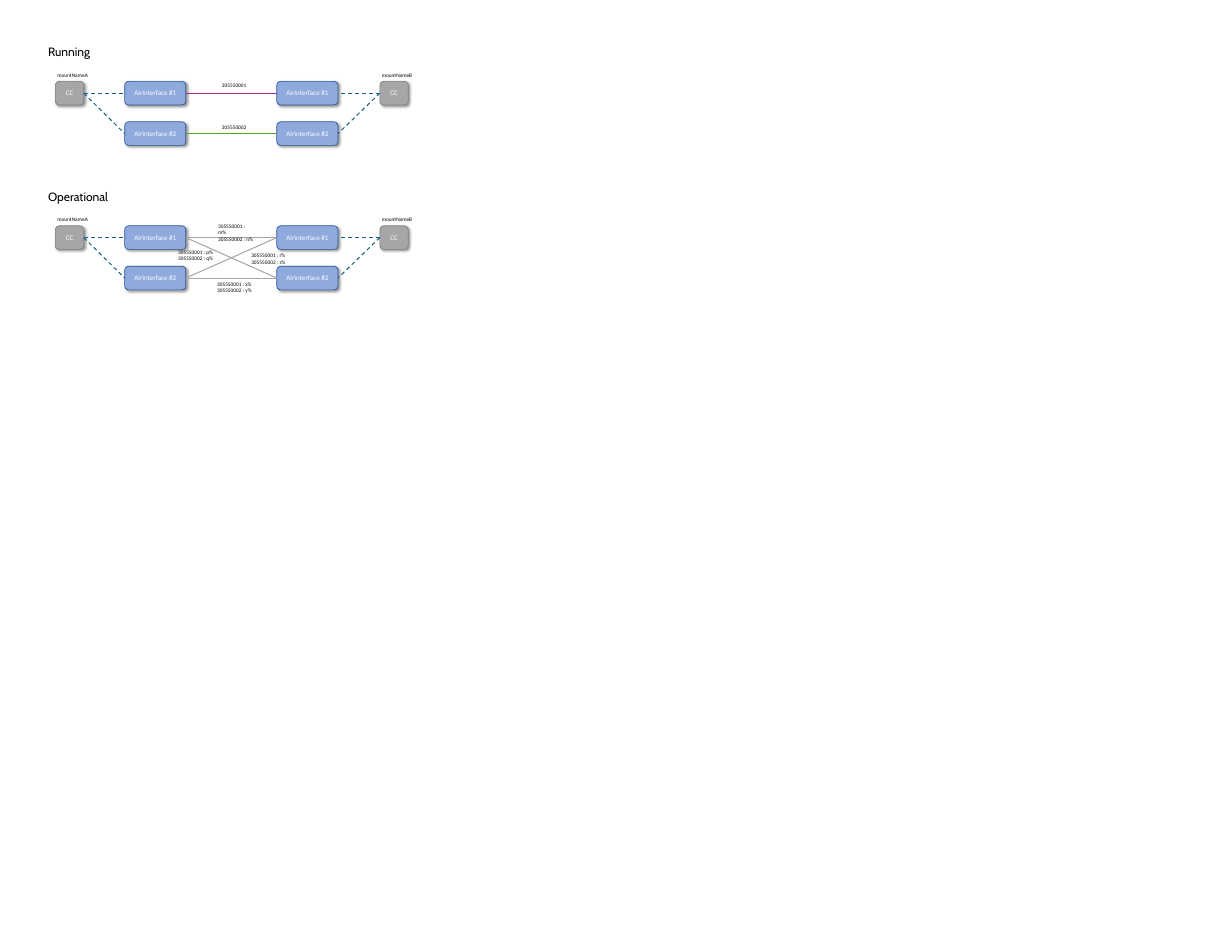
import pptx
import pptx.dml.color
import pptx.enum.dml
import pptx.enum.shapes
import pptx.enum.text
import pptx.oxml
import pptx.oxml.ns
import pptx.util

Inches = pptx.util.Inches
Pt = pptx.util.Pt
RGBColor = pptx.dml.color.RGBColor

BLACK = RGBColor(0x00, 0x00, 0x00)
WHITE = RGBColor(0xFF, 0xFF, 0xFF)
GRAY = RGBColor(0xA6, 0xA6, 0xA6)
DARK_GRAY = RGBColor(0x80, 0x80, 0x80)
BLUE = RGBColor(0x8F, 0xAA, 0xDC)
DARK_BLUE = RGBColor(0x2F, 0x55, 0x97)
TEAL = RGBColor(0x15, 0x60, 0x82)
PURPLE = RGBColor(0xA0, 0x2B, 0x93)
GREEN = RGBColor(0x4E, 0xA7, 0x2E)

# Content: links are (left interface, right interface, colour),
# labels are (left, top relative to the section, width, height, lines)
SECTIONS = [
    {
        "title": "Running", "title_width": 1.09, "top": 0.88,
        "links": [(0, 0, PURPLE), (1, 1, GREEN)],
        "labels": [
            (4.57, 0.79, 0.63, 0.23, ["305550001"]),
            (4.57, 1.66, 0.63, 0.23, ["305550002"]),
        ],
    },
    {
        "title": "Operational", "title_width": 1.49, "top": 3.88,
        "links": [(0, 0, GRAY), (0, 1, GRAY), (1, 0, GRAY), (1, 1, GRAY)],
        "labels": [
            (4.49, 0.71, 0.83, 0.32, ["305550001 : m%", "305550002 : n%"]),
            (3.66, 1.25, 0.83, 0.32, ["305550001 : p%", "305550002 : q%"]),
            (5.18, 1.32, 0.83, 0.32, ["305550001 : r%", "305550002 : s%"]),
            (4.47, 1.91, 0.83, 0.32, ["305550001 : x%", "305550002 : y%"]),
        ],
    },
]
INTERFACES = ["AirInterface #1", "AirInterface #2"]
# Each side: mount name, CC left, interface left, CC site, interface site
SIDES = [
    ("mountNameA", 1.15, 2.59, 3, 1),
    ("mountNameB", 7.89, 5.75, 1, 3),
]

# Layout in inches
TITLE_LEFT, TITLE_HEIGHT = 0.9, 0.4
MOUNT_OFFSET, MOUNT_WIDTH, MOUNT_HEIGHT = 0.58, 0.83, 0.23
BOX_OFFSET, BOX_HEIGHT, ROW_STEP = 0.81, 0.49, 0.84
CC_WIDTH, INTERFACE_WIDTH = 0.59, 1.27
LABEL_INSET = 0.04

SHADOW_XML = (
    '<a:outerShdw %s blurRad="%d" dist="%d" dir="2700000" algn="tl" rotWithShape="0">'
    '<a:srgbClr val="000000"><a:alpha val="40000"/></a:srgbClr></a:outerShdw>'
    % (pptx.oxml.ns.nsdecls("a"), Pt(4), Pt(3))
)

presentation = pptx.Presentation()
presentation.slide_width = Inches(25.59)
presentation.slide_height = Inches(19.69)
slide = presentation.slides.add_slide(presentation.slide_layouts[6])


def set_font(paragraph, name, size, color):
    paragraph.font.name = name
    paragraph.font.size = Pt(size)
    paragraph.font.color.rgb = color


def add_title(text, top, width):
    box = slide.shapes.add_textbox(
        Inches(TITLE_LEFT), Inches(top), Inches(width), Inches(TITLE_HEIGHT))
    frame = box.text_frame
    frame.word_wrap = False
    frame.auto_size = pptx.enum.text.MSO_AUTO_SIZE.SHAPE_TO_FIT_TEXT
    frame.text = text
    set_font(frame.paragraphs[0], "Cabin", 18, BLACK)


def add_label(left, top, width, height, lines):
    box = slide.shapes.add_textbox(
        Inches(left), Inches(top), Inches(width), Inches(height))
    frame = box.text_frame
    frame.word_wrap = True
    frame.margin_left = frame.margin_right = Inches(LABEL_INSET)
    frame.margin_top = frame.margin_bottom = Inches(LABEL_INSET)
    frame.text = "\n".join(lines)
    for paragraph in frame.paragraphs:
        set_font(paragraph, "Calibri", 8, BLACK)


def add_box(text, left, top, width, fill, outline):
    shape = slide.shapes.add_shape(
        pptx.enum.shapes.MSO_SHAPE.ROUNDED_RECTANGLE,
        Inches(left), Inches(top), Inches(width), Inches(BOX_HEIGHT))
    shape.fill.solid()
    shape.fill.fore_color.rgb = fill
    shape.line.color.rgb = outline
    shape.line.width = Pt(1)
    shape.shadow.inherit = False
    effects = shape._element.spPr.find(pptx.oxml.ns.qn("a:effectLst"))
    effects.append(pptx.oxml.parse_xml(SHADOW_XML))
    frame = shape.text_frame
    frame.vertical_anchor = pptx.enum.text.MSO_ANCHOR.MIDDLE
    frame.text = text
    paragraph = frame.paragraphs[0]
    paragraph.alignment = pptx.enum.text.PP_ALIGN.CENTER
    set_font(paragraph, "Calibri", 10.5, WHITE)
    return shape


def add_link(start, start_site, end, end_site, color, dashed=False):
    connector = slide.shapes.add_connector(
        pptx.enum.shapes.MSO_CONNECTOR.STRAIGHT, 0, 0, 0, 0)
    connector.begin_connect(start, start_site)
    connector.end_connect(end, end_site)
    connector.line.color.rgb = color
    connector.line.width = Pt(1.5)
    if dashed:
        connector.line.dash_style = pptx.enum.dml.MSO_LINE.DASH
    connector._element.spPr.append(
        pptx.oxml.parse_xml("<a:effectLst %s/>" % pptx.oxml.ns.nsdecls("a")))


for section in SECTIONS:
    top = section["top"]
    add_title(section["title"], top, section["title_width"])

    # Each mount with its interfaces
    columns = []
    for mount, cc_left, interface_left, cc_site, interface_site in SIDES:
        add_label(cc_left, top + MOUNT_OFFSET, MOUNT_WIDTH, MOUNT_HEIGHT, [mount])
        cc = add_box("CC", cc_left, top + BOX_OFFSET, CC_WIDTH, GRAY, DARK_GRAY)
        column = [
            add_box(name, interface_left, top + BOX_OFFSET + row * ROW_STEP,
                    INTERFACE_WIDTH, BLUE, DARK_BLUE)
            for row, name in enumerate(INTERFACES)
        ]
        for interface in column:
            add_link(cc, cc_site, interface, interface_site, TEAL, dashed=True)
        columns.append(column)

    # Links between the two sides
    for left_row, right_row, color in section["links"]:
        add_link(columns[0][left_row], 3, columns[1][right_row], 1, color)
    for left, offset, width, height, lines in section["labels"]:
        add_label(left, top + offset, width, height, lines)

presentation.save("out.pptx")
